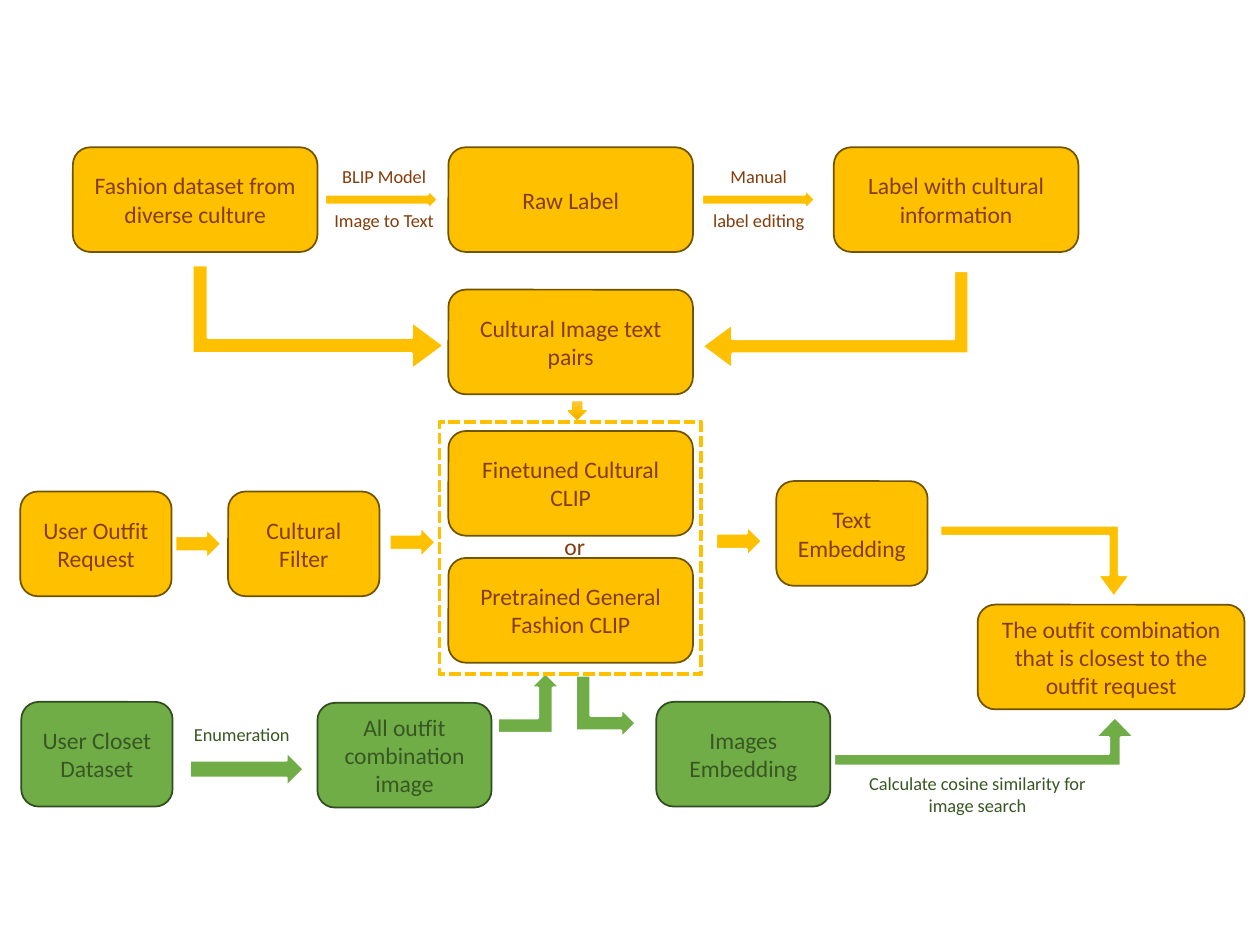
"""Build the flow slide of a cultural outfit search."""
from copy import deepcopy

from pptx import Presentation
from pptx.dml.color import RGBColor
from pptx.enum.dml import MSO_LINE
from pptx.enum.shapes import MSO_SHAPE
from pptx.enum.text import MSO_ANCHOR, MSO_AUTO_SIZE, PP_ALIGN
from pptx.oxml.ns import qn
from pptx.util import Cm, Pt

HUES = {
    "gold": "FFC000", "bronze": "705400", "brown": "843C0B",
    "green": "70AD47", "moss": "314C1F", "forest": "385723",
    "white": "FFFFFF", "light": "FFC64B", "dark": "E3AB00",
}


def draw(kind, spot, fill, line, width):
    shape = slide.shapes.add_shape(kind, *map(Cm, spot))
    shape.shadow.inherit = False
    if fill:
        shape.fill.solid()
        shape.fill.fore_color.rgb = RGBColor.from_string(HUES[fill])
    else:
        shape.fill.background()
    shape.line.color.rgb = RGBColor.from_string(HUES[line])
    shape.line.width = Pt(width)
    return shape


def write(shape, text, size=13.5, hue="brown", align=PP_ALIGN.CENTER,
          anchor=MSO_ANCHOR.MIDDLE, wrap=True, gap=0):
    frame = shape.text_frame
    frame.word_wrap = wrap
    frame.vertical_anchor = anchor
    frame.text = text
    for rank, para in enumerate(frame.paragraphs):
        para.alignment = align
        para.space_before = Pt(gap if rank else 0)
        font = para.runs[0].font
        font.name = "Calibri"
        font.size = Pt(size)
        font.color.rgb = RGBColor.from_string(HUES[hue])


deck = Presentation()
deck.slide_width, deck.slide_height = Cm(25.4), Cm(19.05)
slide = deck.slides.add_slide(deck.slide_layouts[6])

TALL, WIDE, SLIM, MID = 2.11, 4.93, 3.05, 3.51
TOP, CORE = 2.97, 9.04
boxes = [
    ("Fashion dataset from diverse culture", 1.47, TOP, WIDE, "gold"),
    ("Raw Label", CORE, TOP, WIDE, "gold"),
    ("Label with cultural information", 16.81, TOP, WIDE, "gold"),
    ("Cultural Image text pairs", CORE, 5.84, WIDE, "gold"),
    ("Finetuned Cultural CLIP", CORE, 8.69, WIDE, "gold"),
    ("Pretrained General Fashion CLIP", CORE, 11.25, WIDE, "gold"),
    ("User Outfit Request", 0.41, 9.91, SLIM, "gold"),
    ("Cultural Filter", 4.6, 9.91, SLIM, "gold"),
    ("Text Embedding", 15.65, 9.7, SLIM, "gold"),
    ("User Closet Dataset", 0.43, 14.15, SLIM, "green"),
    ("All outfit combination image", 6.4, 14.17, MID, "green"),
    ("Images Embedding", 13.23, 14.15, MID, "green"),
    ("The outfit combination that is closest to the outfit request",
     19.71, 12.19, 5.38, "gold"),
]
pairs = {"gold": ("bronze", "brown"), "green": ("moss", "forest")}
for text, left, top, width, fill in boxes:
    edge, ink = pairs[fill]
    box = draw(MSO_SHAPE.ROUNDED_RECTANGLE, (left, top, width, TALL), fill, edge, 1)
    write(box, text, hue=ink)

RIGHT, DOWN, BENT = MSO_SHAPE.RIGHT_ARROW, MSO_SHAPE.DOWN_ARROW, MSO_SHAPE.BENT_UP_ARROW
THIN = (0.151, 0.231, 0.312)
arrows = [
    (RIGHT, (6.55, 3.81, 2.29, 0.43), "gold", 0, "", ()),
    (RIGHT, (14.15, 3.81, 2.29, 0.43), "gold", 0, "", ()),
    (DOWN, (3.68, 10.49, 0.64, 0.94), "gold", 270, "", ()),
    (DOWN, (8, 10.46, 0.64, 0.94), "gold", 270, "", ()),
    (DOWN, (14.58, 10.44, 0.64, 0.94), "gold", 270, "", ()),
    (DOWN, (4.62, 14.35, 0.71, 2.31), "green", 270, "", ()),
    (BENT, (5.36, 3.86, 2.11, 5.08), "gold", 90, "", THIN),
    (BENT, (15.85, 3.76, 1.98, 5.38), "gold", 90, "V", THIN),
    (BENT, (10.03, 13.56, 1.27, 1.22), "green", 180, "HV", ()),
    (BENT, (11.58, 13.64, 1.27, 1.22), "green", 270, "HV", ()),
    (BENT, (18.95, 10.59, 3.84, 1.45), "gold", 180, "H", THIN),
    (BENT, (16.81, 14.45, 6.07, 0.99), "green", 180, "HV", (0.25, 0.408, 0.423)),
]
for kind, spot, fill, turn, flip, bends in arrows:
    arrow = draw(kind, spot, fill, "white", 1.5)
    arrow.rotation = turn
    for axis in flip:
        arrow.element.spPr.xfrm.set("flip" + axis, "1")
    for rank, bend in enumerate(bends):
        arrow.adjustments[rank] = bend

drop = draw(DOWN, (11.46, 8.1, 0.36, 0.36), "gold", "gold", 0.5)
drop.fill.gradient()
drop.fill.gradient_angle = 270
first = drop.element.spPr.find(".//" + qn("a:gs"))
first.addnext(deepcopy(first))
shades = [(0, "light"), (0.5, "gold"), (1, "dark")]
for stop, (place, hue) in zip(drop.fill.gradient_stops, shades):
    stop.position = place
    stop.color.rgb = RGBColor.from_string(HUES[hue])

frame = draw(MSO_SHAPE.RECTANGLE, (8.86, 8.51, 5.28, 5.08), None, "gold", 2.25)
frame.line.dash_style = MSO_LINE.SQUARE_DOT

small = {"size": 10.5, "gap": 12.8}
notes = [
    ("BLIP Model\nImage to Text", (6.45, 3.2, 2.59, 1.6), {"wrap": False, **small}),
    ("Manual\nlabel editing", (14.1, 3.2, 2.39, 1.6), {"wrap": False, **small}),
    ("Enumeration", (3.63, 14.45, 2.49, 0.71), {"hue": "forest", **small}),
    ("or", (11.13, 10.59, 0.94, 0.84), {"wrap": False, "align": PP_ALIGN.LEFT}),
    ("Calculate cosine similarity for image search",
     (16.81, 15.44, 5.79, 1.14), {"hue": "forest", **small}),
]
for text, spot, style in notes:
    note = slide.shapes.add_textbox(*map(Cm, spot))
    write(note, text, anchor=MSO_ANCHOR.TOP, **style)
    note.text_frame.auto_size = MSO_AUTO_SIZE.SHAPE_TO_FIT_TEXT

deck.save("out.pptx")
